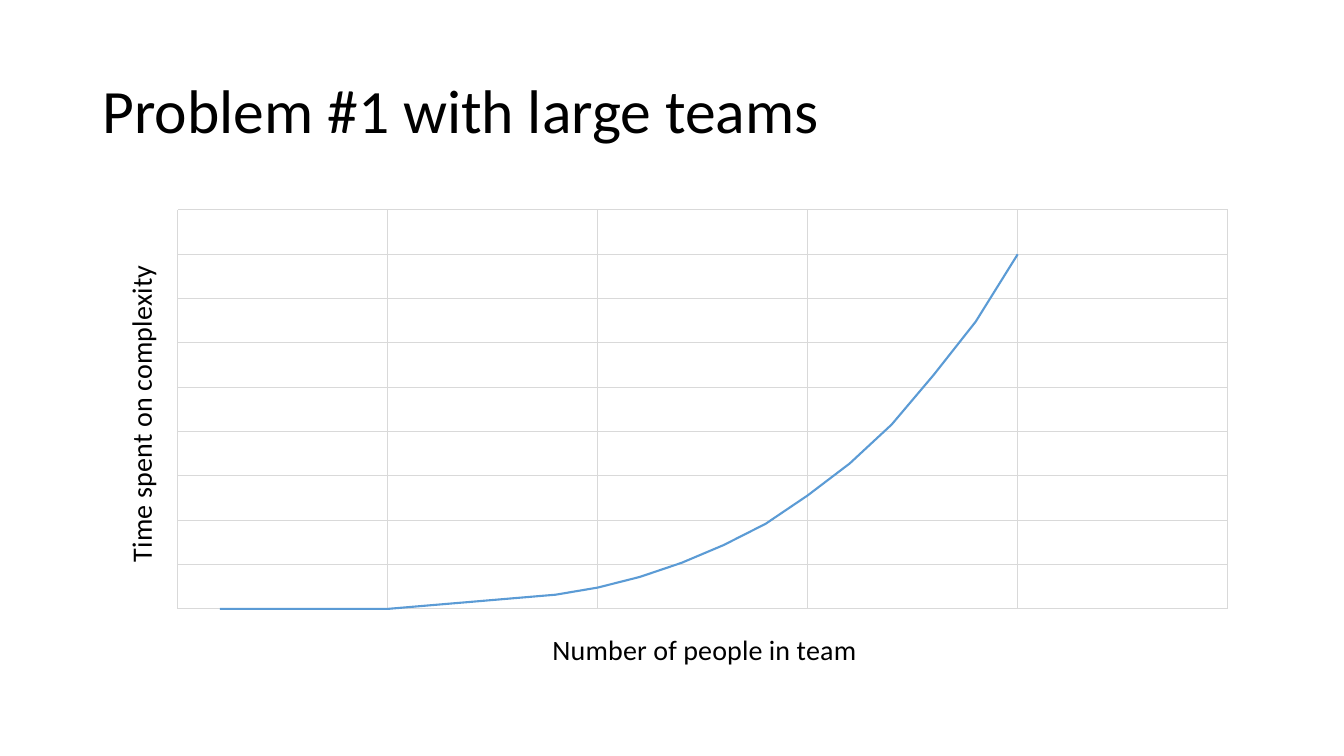
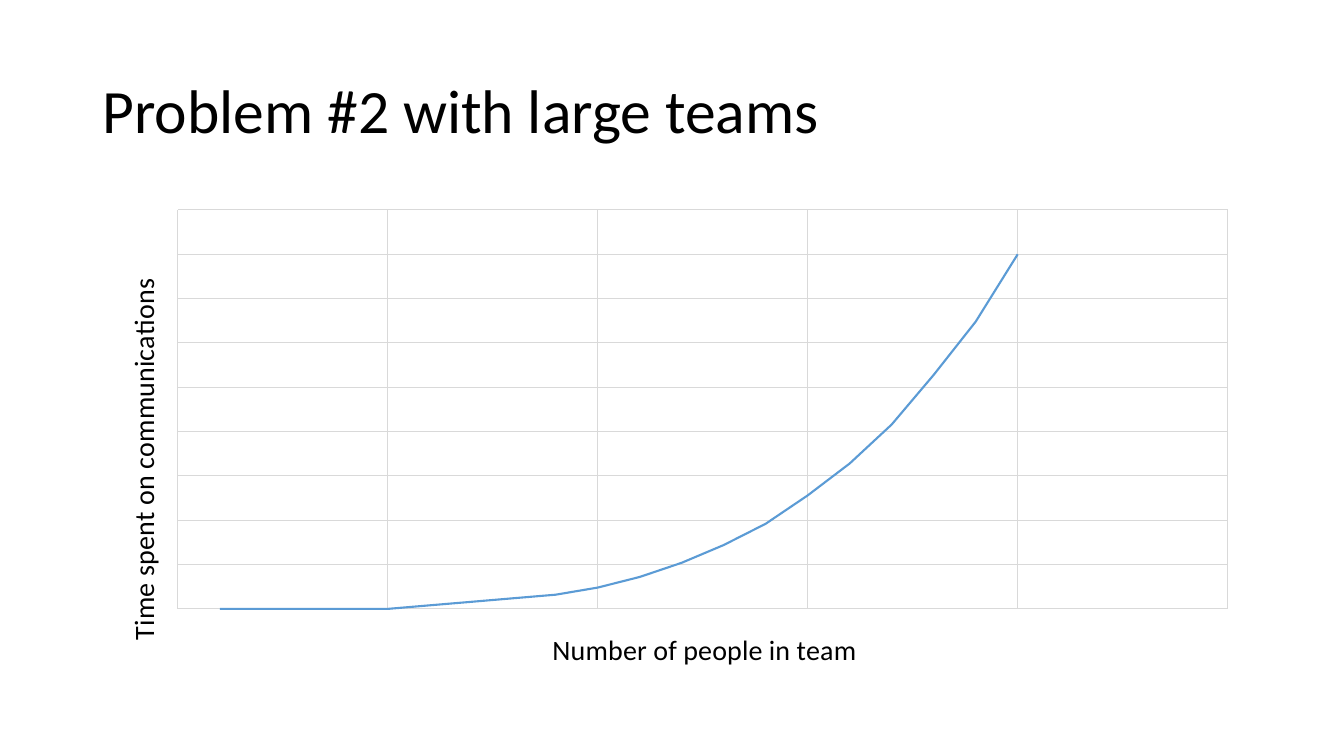
import pptx
import pptx.chart.data
import pptx.dml.color
import pptx.enum.chart
import pptx.enum.text
import pptx.oxml
import pptx.oxml.ns
import pptx.util

Pt = pptx.util.Pt
qn = pptx.oxml.ns.qn

BLACK = pptx.dml.color.RGBColor(0x00, 0x00, 0x00)
GRID_GREY = pptx.dml.color.RGBColor(0xD9, 0xD9, 0xD9)
CURVE_BLUE = pptx.dml.color.RGBColor(0x5B, 0x9B, 0xD5)
FONT = "Calibri"

TITLE_BOX = (66, 29, 828, 104)
CHART_BOX = (66, 144, 828, 343)
PLOT_BOX = (61, 6, 750, 285)
TEAM_SIZE_TITLE_POSITION = (325, 302)
TEAM_SIZES = range(1, 21)

SLIDES = (
    ("Problem #1 with large teams", "Time spent on complexity", (17, 42)),
    ("Problem #2 with large teams", "Time spent on communications", (18.5, 51.5)),
)


def style_font(font, size):
    """Apply the shared typeface and colour at the given size."""
    font.name = FONT
    font.size = Pt(size)
    font.bold = False
    font.color.rgb = BLACK


def set_layout(element, index, position, inner_size=()):
    """Fix a chart part at points measured from the chart's corner."""
    old_layout = element.find(qn("c:layout"))
    if old_layout is not None:
        element.remove(old_layout)
    layout = pptx.oxml.parse_xml(
        f'<c:layout {pptx.oxml.ns.nsdecls("c")}><c:manualLayout/></c:layout>'
    )
    settings = [("xMode", "edge"), ("yMode", "edge")]
    if inner_size:
        settings.insert(0, ("layoutTarget", "inner"))
    lengths = (*position, *inner_size)
    for name, length, whole in zip("xywh", lengths, CHART_BOX[2:] * 2):
        settings.append((name, str(length / whole)))
    for name, value in settings:
        layout[0].makeelement(qn(f"c:{name}"))
        child = layout[0].makeelement(qn(f"c:{name}"), {"val": value})
        layout[0].append(child)
    element.insert(index, layout)


def format_axis(axis, text, position, maximum, unit, rotation):
    """Hide an axis but keep its gridlines and its placed title."""
    axis.minimum_scale = 0
    axis.maximum_scale = maximum
    axis.major_unit = unit
    axis.has_major_gridlines = True
    grid = axis.major_gridlines.format.line
    grid.color.rgb = GRID_GREY
    grid.width = Pt(0.75)
    frame = axis.axis_title.text_frame
    frame.text = text
    style_font(frame.paragraphs[0].font, 20)
    title = axis.axis_title._element
    body = title.find(f".//{qn('a:bodyPr')}")
    body.set("rot", str(rotation * 60000))
    body.set("vert", "horz")
    set_layout(title, 1, position)
    axis.visible = False


def add_title(slide, text, box):
    """Place and format the slide title."""
    title = slide.shapes.title
    title.left, title.top, title.width, title.height = map(Pt, box)
    frame = title.text_frame
    frame.text = text
    frame.vertical_anchor = pptx.enum.text.MSO_ANCHOR.MIDDLE
    paragraph = frame.paragraphs[0]
    paragraph.alignment = pptx.enum.text.PP_ALIGN.LEFT
    paragraph.line_spacing = 0.9
    style_font(paragraph.font, 44)


def add_growth_chart(slide, time_title, time_title_position, box):
    """Draw the time that grows with the fourth power of team size."""
    data = pptx.chart.data.XyChartData()
    points = data.add_series("Series 1")
    for size in TEAM_SIZES:
        points.add_data_point(size, round(100 * (size / 20) ** 4))
    chart = slide.shapes.add_chart(
        pptx.enum.chart.XL_CHART_TYPE.XY_SCATTER_SMOOTH_NO_MARKERS,
        *map(Pt, box),
        data,
    ).chart
    chart.has_title = False
    chart.has_legend = False
    style_font(chart.font, 10)
    plot = chart.plots[0]
    plot.vary_by_categories = False
    curve = plot.series[0]
    curve.smooth = True
    curve.format.line.color.rgb = CURVE_BLUE
    curve.format.line.width = Pt(1.5)
    format_axis(
        chart.category_axis, "Number of people in team",
        TEAM_SIZE_TITLE_POSITION, 25, 5, 0,
    )
    format_axis(
        chart.value_axis, time_title, time_title_position, 112.5, 12.5, -90
    )
    plot_area = chart._chartSpace.find(f".//{qn('c:plotArea')}")
    set_layout(plot_area, 0, PLOT_BOX[:2], PLOT_BOX[2:])


def main():
    """Build and save the presentation."""
    presentation = pptx.Presentation()
    presentation.slide_width = Pt(960)
    presentation.slide_height = Pt(540)
    for title, time_title, position in SLIDES:
        slide = presentation.slides.add_slide(presentation.slide_layouts[5])
        add_title(slide, title, TITLE_BOX)
        add_growth_chart(slide, time_title, position, CHART_BOX)
    presentation.save("out.pptx")


if __name__ == "__main__":
    main()
